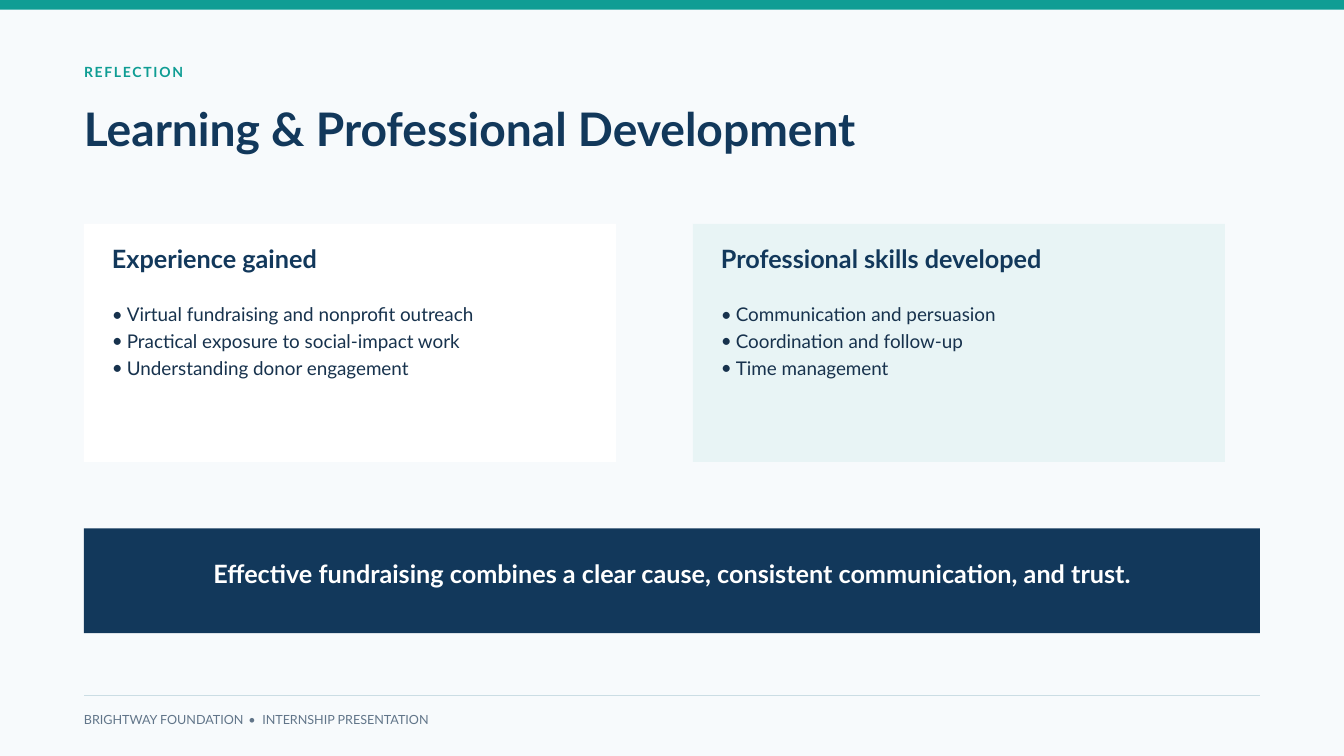
from dataclasses import dataclass

import pptx
import pptx.dml.color
import pptx.enum.shapes
import pptx.enum.text
import pptx.oxml.ns
import pptx.util
from lxml import etree

Pt = pptx.util.Pt
ALIGN = pptx.enum.text.PP_ALIGN

COLOURS = {
    "background": "F7FAFC",
    "teal": "0F9D94",
    "navy": "12385B",
    "ink": "17324D",
    "white": "FFFFFF",
    "mist": "E8F4F5",
    "rule": "CBDDE4",
    "muted": "617589",
}
PAGE_WIDTH, PAGE_HEIGHT = 1440, 810
MARGIN = 90
CONTENT_WIDTH = PAGE_WIDTH - 2 * MARGIN
CARD_TOP, CARD_WIDTH, CARD_HEIGHT = 240, 570, 255
CARD_STEP = 652.5
CARD_PADDING = 30
BULLET_INDENT = 16
TRACKING = 1.8


@dataclass
class Box:
    left: float
    top: float
    width: float
    height: float

    def lengths(self) -> list:
        return [Pt(v) for v in (self.left, self.top, self.width, self.height)]


@dataclass
class Style:
    size: float
    leading: float
    colour: str
    bold: bool = True
    align: ALIGN = ALIGN.LEFT
    bulleted: bool = False


@dataclass
class Piece:
    text: str
    tracking: float = 0


@dataclass
class Card:
    heading: str
    points: list[str]
    fill: str


EYEBROW = Style(15, 21, "teal")
TITLE = Style(49.5, 53.5, "navy")
HEADING = Style(27, 29.2, "navy")
POINTS = Style(20.2, 28.8, "ink", bold=False, bulleted=True)
TAKEAWAY = Style(27, 37.8, "white", align=ALIGN.CENTER)
FOOTER = Style(13.5, 18.2, "muted", bold=False)

CARDS = [
    Card(
        "Experience gained",
        [
            "Virtual fundraising and nonprofit outreach",
            "Practical exposure to social-impact work",
            "Understanding donor engagement",
        ],
        "white",
    ),
    Card(
        "Professional skills developed",
        [
            "Communication and persuasion",
            "Coordination and follow-up",
            "Time management",
        ],
        "mist",
    ),
]


def rgb(name: str) -> pptx.dml.color.RGBColor:
    return pptx.dml.color.RGBColor.from_string(COLOURS[name])


def apply(target, values: dict) -> None:
    for attribute, value in values.items():
        setattr(target, attribute, value)


def draw_panel(slide, box: Box, fill: str) -> None:
    panel = slide.shapes.add_shape(
        pptx.enum.shapes.MSO_SHAPE.RECTANGLE, *box.lengths()
    )
    panel.shadow.inherit = False
    panel.fill.solid()
    panel.fill.fore_color.rgb = rgb(fill)
    panel.line.fill.background()


def add_bullet(paragraph) -> None:
    properties = paragraph._p.get_or_add_pPr()
    properties.set("marL", str(Pt(BULLET_INDENT)))
    properties.set("indent", str(-Pt(BULLET_INDENT)))
    for tag, attribute, value in (
        ("a:buFont", "typeface", "Lato"),
        ("a:buChar", "char", "•"),
    ):
        etree.SubElement(properties, pptx.oxml.ns.qn(tag)).set(attribute, value)


def draw_text(slide, box: Box, style: Style, lines: list[list[Piece]]) -> None:
    frame = slide.shapes.add_textbox(*box.lengths()).text_frame
    apply(frame, {
        "word_wrap": True,
        "margin_left": 0,
        "margin_top": 0,
        "margin_right": 0,
        "margin_bottom": 0,
    })
    for index, pieces in enumerate(lines):
        paragraph = frame.add_paragraph() if index else frame.paragraphs[0]
        apply(paragraph, {
            "alignment": style.align,
            "line_spacing": Pt(style.leading),
        })
        if style.bulleted:
            add_bullet(paragraph)
        for piece in pieces:
            run = paragraph.add_run()
            run.text = piece.text
            apply(run.font, {
                "name": "Lato",
                "size": Pt(style.size),
                "bold": style.bold,
            })
            run.font.color.rgb = rgb(style.colour)
            if piece.tracking:
                run._r.get_or_add_rPr().set("spc", str(round(piece.tracking * 100)))


def draw_card(slide, left: float, card: Card) -> None:
    draw_panel(slide, Box(left, CARD_TOP, CARD_WIDTH, CARD_HEIGHT), card.fill)
    text_left = left + CARD_PADDING
    text_width = CARD_WIDTH - 2 * CARD_PADDING
    draw_text(slide, Box(text_left, 264, text_width, 30), HEADING,
              [[Piece(card.heading)]])
    draw_text(slide, Box(text_left, 319.5, text_width, 84), POINTS,
              [[Piece(point)] for point in card.points])


def draw_rule(slide, top: float) -> None:
    rule = slide.shapes.add_connector(
        pptx.enum.shapes.MSO_CONNECTOR.STRAIGHT,
        Pt(MARGIN), Pt(top), Pt(MARGIN + CONTENT_WIDTH), Pt(top),
    )
    rule.line.color.rgb = rgb("rule")
    rule.line.width = Pt(1.5)
    etree.SubElement(rule._element.spPr, pptx.oxml.ns.qn("a:effectLst"))


def main() -> None:
    deck = pptx.Presentation()
    apply(deck, {"slide_width": Pt(PAGE_WIDTH), "slide_height": Pt(PAGE_HEIGHT)})
    slide = deck.slides.add_slide(deck.slide_layouts[6])
    slide.background.fill.solid()
    slide.background.fill.fore_color.rgb = rgb("background")

    draw_panel(slide, Box(0, 0, PAGE_WIDTH, 10.5), "teal")
    draw_text(slide, Box(MARGIN, 65.5, 375, 20), EYEBROW,
              [[Piece("REFLECTION", TRACKING)]])
    draw_text(slide, Box(MARGIN, 113, 1050, 55), TITLE,
              [[Piece("Learning & Professional Development")]])

    for index, card in enumerate(CARDS):
        draw_card(slide, MARGIN + index * CARD_STEP, card)

    draw_panel(slide, Box(MARGIN, 566, CONTENT_WIDTH, 112.5), "navy")
    draw_text(slide, Box(172.5, 593.3, 1095, 34.5), TAKEAWAY, [[Piece(
        "Effective fundraising combines a clear cause, "
        "consistent communication, and trust."
    )]])

    draw_rule(slide, 745.2)
    draw_text(slide, Box(MARGIN, 761, CONTENT_WIDTH, 18), FOOTER, [[
        Piece("BRIGHTWAY FOUNDATION"),
        Piece(" • ", TRACKING),
        Piece("INTERNSHIP PRESENTATION"),
    ]])
    deck.save("out.pptx")


if __name__ == "__main__":
    main()
